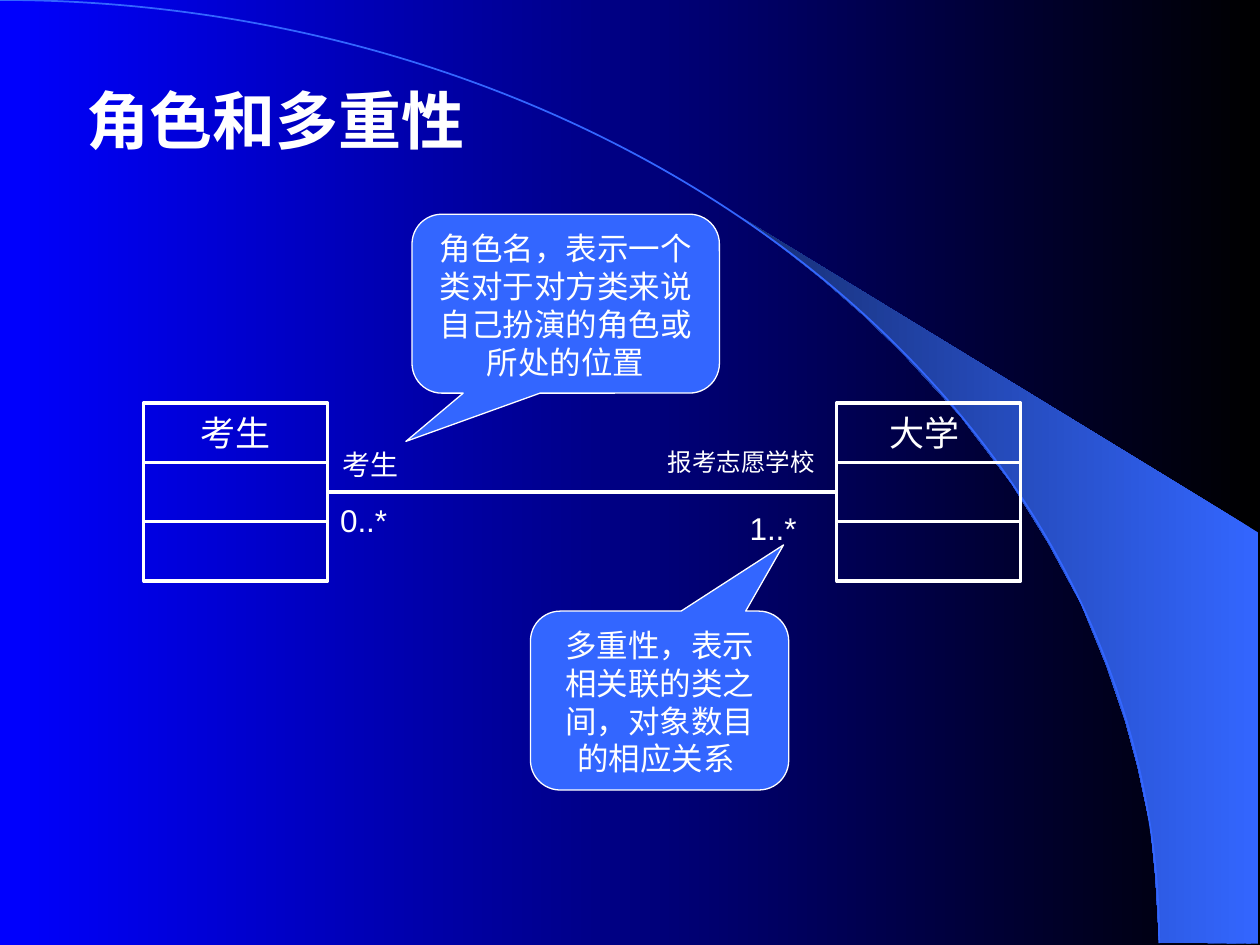
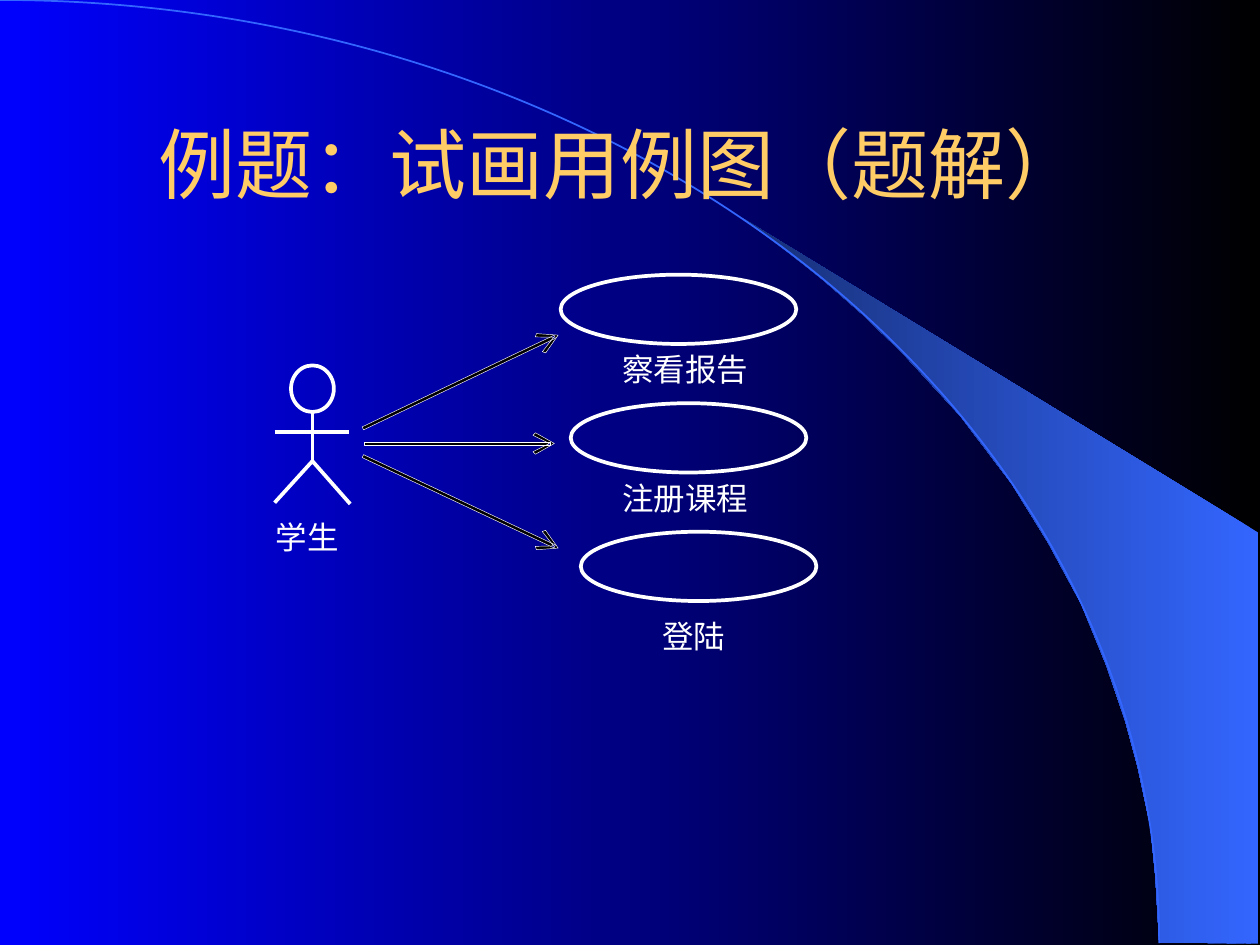
import math

from lxml import etree
from pptx import Presentation
from pptx.dml.color import RGBColor
from pptx.enum.lang import MSO_LANGUAGE_ID
from pptx.enum.shapes import MSO_CONNECTOR, MSO_SHAPE
from pptx.enum.text import MSO_ANCHOR, MSO_AUTO_SIZE, PP_ALIGN
from pptx.oxml.ns import qn
from pptx.util import Pt

PX = 9144
WHITE, BLACK, BLUE, GOLD = "FFFFFF", "000000", "3366FF", "FFCC66"
DEEP_BLUE, NAVY = "0000FF", "172F75"
ARIAL, NOTO = "Arial", "Noto Sans CJK SC"
CHINESE = MSO_LANGUAGE_ID.SIMPLIFIED_CHINESE
STRAIGHT = MSO_CONNECTOR.STRAIGHT
RECTANGLE, ELLIPSE, ARC = MSO_SHAPE.RECTANGLE, MSO_SHAPE.OVAL, MSO_SHAPE.ARC
CALLOUT = MSO_SHAPE.ROUNDED_RECTANGULAR_CALLOUT
LEFT, CENTER = PP_ALIGN.LEFT, PP_ALIGN.CENTER
TOP, MIDDLE = MSO_ANCHOR.TOP, MSO_ANCHOR.MIDDLE
FIT_SHAPE, NO_FIT = MSO_AUTO_SIZE.SHAPE_TO_FIT_TEXT, MSO_AUTO_SIZE.NONE
TITLE_ONLY = 5
RIGHT_SIDE, LEFT_SIDE = 3, 1
INSETS, ROLE_INSETS = (10, 5, 10, 5), (0, 4, 0, 0)
BEAM = [(920, 748), (999, 749), (999, 423), (589, 173), (624, 199), (653, 222),
        (685, 250), (716, 280), (762, 330), (803, 384), (832, 431), (858, 479),
        (878, 528), (893, 572), (903, 609), (913, 656), (917, 696)]


def emu(*lengths):
    """Turn px lengths into EMU."""
    return [round(length * PX) for length in lengths]


def color(code):
    """Return the colour of a hex string."""
    return RGBColor.from_string(code)


def paint(shape, fill=None, line=None, width=1):
    """Set fill and outline, and drop the shadow."""
    shape.shadow.inherit = False
    if fill:
        shape.fill.solid()
        shape.fill.fore_color.rgb = color(fill)
    else:
        shape.fill.background()
    if line:
        shape.line.color.rgb = color(line)
        shape.line.width = Pt(width)
    else:
        shape.line.fill.background()
    return shape


def fade(fill, right, left):
    """Fill with a gradient that runs from right to left."""
    fill.gradient()
    fill.gradient_angle = 180
    for stop, code, position in zip(fill.gradient_stops, (right, left), (0, 1)):
        stop.color.rgb = color(code)
        stop.position = position


def write(shape, text, size, font=ARIAL, code=WHITE, bold=False, align=LEFT,
          anchor=TOP, insets=INSETS, wrap=True, auto_size=NO_FIT):
    """Put one formatted paragraph into a shape."""
    frame = shape.text_frame
    frame.text = text
    frame.word_wrap = wrap
    frame.auto_size = auto_size
    frame.vertical_anchor = anchor
    (frame.margin_left, frame.margin_top,
     frame.margin_right, frame.margin_bottom) = emu(*insets)
    paragraph = frame.paragraphs[0]
    paragraph.alignment = align
    style = paragraph.font
    style.size, style.bold, style.name = Pt(size), bold, font
    style.color.rgb = color(code)
    style.language_id = CHINESE


def add_label(slide, box, text, size=18, wrap=False, **style):
    """Add a text box that fits its text."""
    label = slide.shapes.add_textbox(*emu(*box))
    write(label, text, size, wrap=wrap, auto_size=FIT_SHAPE, **style)


def add_outline(slide, contours, close=True):
    """Add a freeform of one or more contours."""
    paths = [[emu(*point) for point in contour] for contour in contours]
    builder = slide.shapes.build_freeform(*paths[0][0])
    builder.add_line_segments(paths[0][1:], close=close)
    for path in paths[1:]:
        builder.move_to(*path[0])
        builder.add_line_segments(path[1:], close=close)
    return builder.convert_to_shape()


def add_line(slide, start, end, width):
    """Add a white straight line."""
    line = slide.shapes.add_connector(STRAIGHT, *emu(*start, *end))
    line.line.color.rgb = color(WHITE)
    line.line.width = Pt(width)
    etree.SubElement(line.element.spPr, qn("a:effectLst"))
    return line


def decorate_master(prs, slide):
    """Give the master its background, beam and arc."""
    master = prs.slide_master
    fade(master.background.fill, BLACK, DEEP_BLUE)
    beam = paint(add_outline(slide, [BEAM]))
    fade(beam.fill, BLUE, NAVY)
    arc = paint(slide.shapes.add_shape(ARC, *emu(-920, 0, 1840, 1497)), line=BLUE)
    for index, part in enumerate((beam, arc), start=2):
        master.shapes.element.insert(index, part.element)


def add_slide(prs):
    """Add a title-only slide."""
    return prs.slides.add_slide(prs.slide_layouts[TITLE_ONLY])


def set_title(slide, box, text, size, **style):
    """Move and format the title."""
    title = slide.shapes.title
    title.left, title.top, title.width, title.height = emu(*box)
    write(title, text, size, **style)


def add_class(slide, x, y, name):
    """Add a class of three compartments and return the middle one."""
    compartments = [
        paint(slide.shapes.add_shape(RECTANGLE, *emu(x, y + 47 * row, 146, 47)),
              line=WHITE, width=2)
        for row in range(3)]
    write(compartments[0], name, 20, font=NOTO, align=CENTER, anchor=MIDDLE, wrap=False)
    return compartments[1]


def add_callout(slide, box, text, tip):
    """Add a speech bubble with its tip relative to its centre."""
    bubble = paint(slide.shapes.add_shape(CALLOUT, *emu(*box)), BLUE, WHITE, 0.75)
    bubble.adjustments[0], bubble.adjustments[1] = tip
    write(bubble, text, 18, align=CENTER)


def add_actor(slide, x, y, name):
    """Add a stick figure with its name."""
    paint(slide.shapes.add_shape(ELLIPSE, *emu(x + 13, y, 34, 37)),
          line=WHITE, width=2.13)
    add_line(slide, (x + 30, y + 37), (x + 30, y + 76), 2.13)
    add_line(slide, (x, y + 53), (x + 59, y + 53), 2.13)
    legs = [(x, y + 109), (x + 30, y + 76), (x + 60, y + 110)]
    paint(add_outline(slide, [legs], close=False), line=WHITE, width=2.13)
    add_label(slide, (x - 9, y + 116, 70, 40), name)


def add_arrow(slide, tail, tip):
    """Add an outlined open arrow from tail to tip."""
    length = math.dist(tail, tip)
    ux, uy = ((end - start) / length for start, end in zip(tail, tip))
    shaft = [(-3, -1.3), (-length, -1.3), (-length, 1.3), (-3, 1.3)]
    barbs = [(-15, -8.5), (0, 0), (-15, 8.5), (-17, 6.5), (-4, 0), (-17, -6.5)]
    contours = [[(tip[0] + along * ux - across * uy, tip[1] + along * uy + across * ux)
                 for along, across in contour] for contour in (shaft, barbs)]
    paint(add_outline(slide, contours), BLACK, WHITE, 0.25)


def build_roles(slide):
    """Build the slide on roles and multiplicity."""
    set_title(slide, (59, 60, 417, 70), "角色和多重性", 36, bold=True)
    candidate = add_class(slide, 114, 320, "考生")
    university = add_class(slide, 664, 320, "大学 ")
    association = add_line(slide, (260, 390), (664, 390), 2)
    association.begin_connect(candidate, RIGHT_SIDE)
    association.end_connect(university, LEFT_SIDE)
    add_label(slide, (272, 351, 54, 31), "考生 ", 16, font=NOTO, insets=ROLE_INSETS)
    add_label(slide, (530, 351, 125, 27), "报考志愿学校", 14, wrap=True,
              font=NOTO, insets=ROLE_INSETS)
    add_label(slide, (260, 393, 75, 40), "0..*", wrap=True)
    add_label(slide, (585, 399, 75, 40), "1..*", wrap=True)
    add_callout(slide, (327, 170, 244, 142),
                "角色名，表示一个类对于对方类来说自己扮演的角色或所处的位置", (-0.52, 0.77))
    add_callout(slide, (421, 485, 205, 142),
                "多重性，表示相关联的类之间，对象数目的相应关系 ", (0.48, -0.87))


def build_use_cases(slide):
    """Build the use case diagram slide."""
    set_title(slide, (75, 67, 850, 125), "例题：试画用例图（题解） ", 44,
              font=NOTO, code=GOLD, align=CENTER, anchor=MIDDLE)
    add_actor(slide, 218, 290, "学生")
    for row in range(3):
        oval = emu(445 + 8 * row, 218 + 102 * row, 187, 55)
        paint(slide.shapes.add_shape(ELLIPSE, *oval), line=WHITE, width=2.13)
    for tail, tip in (((288, 340), (443, 266)), ((289, 352), (440, 352)),
                      ((288, 362), (443, 435))):
        add_arrow(slide, tail, tip)
    for box, name in (((484, 273, 120, 40), "察看报告"),
                      ((484, 375, 120, 40), "注册课程"),
                      ((516, 485, 70, 40), "登陆")):
        add_label(slide, box, name)


def main():
    """Build and save the presentation."""
    prs = Presentation()
    prs.slide_width, prs.slide_height = emu(1000, 750)
    roles = add_slide(prs)
    decorate_master(prs, roles)
    build_roles(roles)
    build_use_cases(add_slide(prs))
    prs.save("out.pptx")


if __name__ == "__main__":
    main()
